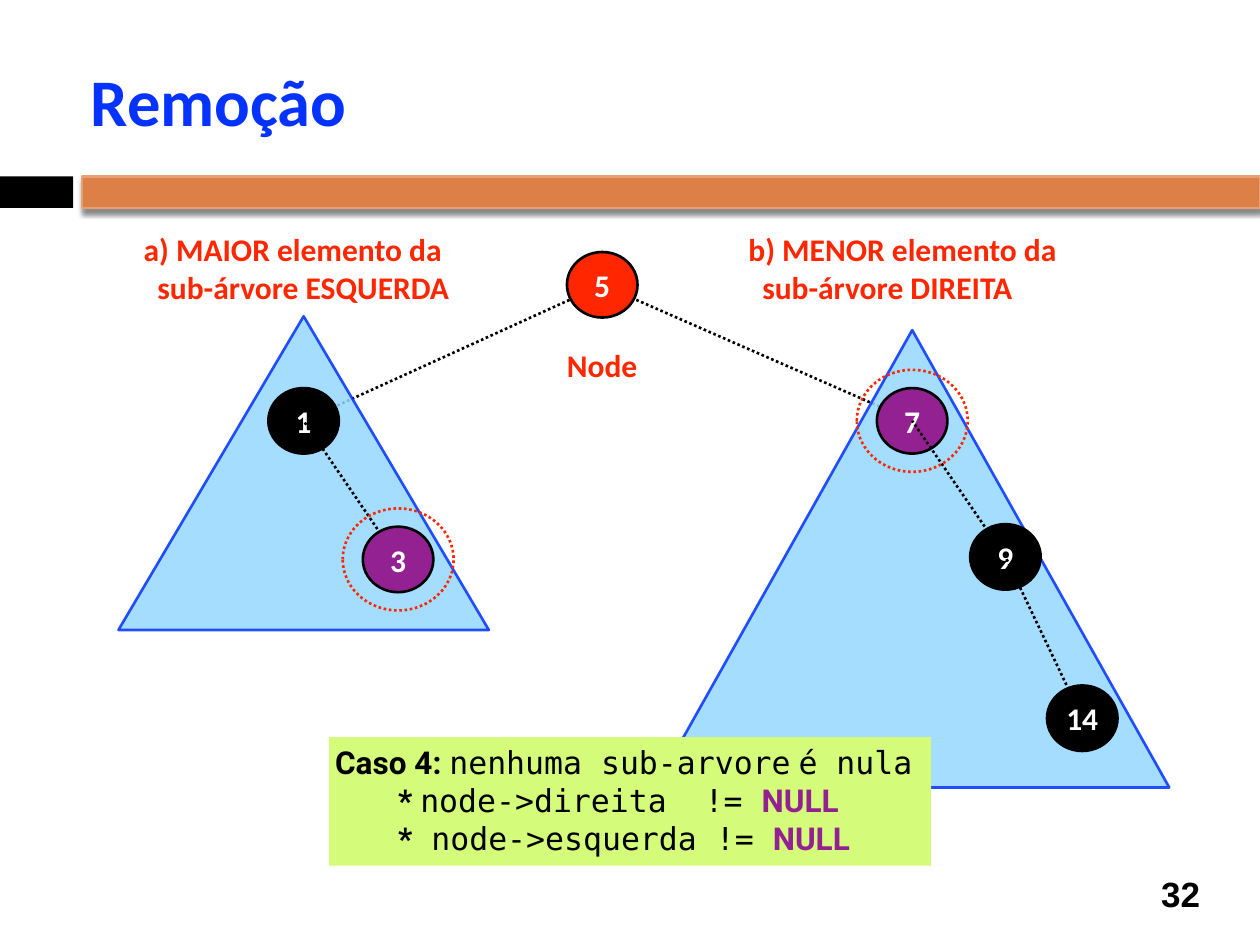
from lxml.etree import SubElement
from pptx import Presentation
from pptx.dml.color import RGBColor
from pptx.enum.dml import MSO_LINE
from pptx.enum.shapes import MSO_CONNECTOR, MSO_SHAPE
from pptx.enum.text import MSO_ANCHOR, MSO_AUTO_SIZE, PP_ALIGN
from pptx.oxml.ns import qn
from pptx.util import Pt

SCALE = 9144
COLORS = {
    "black": "000000",
    "white": "FFFFFF",
    "blue": "0433FF",
    "sky": "95D8FF",
    "red": "FF2600",
    "purple": "942192",
    "lime": "D4FB79",
    "orange": "DD8047",
    "peach": "E5A075",
}
NODE_SIZE = (56, 52)
RING_SIZE = (88, 81)


def px(value):
    return round(value * SCALE)


def color(name):
    return RGBColor.from_string(COLORS[name])


def around(center, size):
    return (center[0] - size[0] / 2, center[1] - size[1] / 2, *size)


def inside(box, offset):
    return box[0] + offset[0], box[1] + offset[1]


def add_form(page, kind, box, fill=None, line=None, dotted=False):
    shape = page.shapes.add_shape(kind, *map(px, box))
    shape.shadow.inherit = False
    if fill:
        shape.fill.solid()
        shape.fill.fore_color.rgb = color(fill)
    else:
        shape.fill.background()
    if line:
        shape.line.color.rgb = color(line)
        shape.line.width = Pt(1.5)
        if dotted:
            shape.line.dash_style = MSO_LINE.ROUND_DOT
    else:
        shape.line.fill.background()
    return shape


def set_frame(shape, wrap=True, anchor=MSO_ANCHOR.TOP):
    frame = shape.text_frame
    frame.margin_left = frame.margin_right = px(5)
    frame.margin_top = frame.margin_bottom = px(5)
    frame.word_wrap = wrap
    frame.vertical_anchor = anchor
    return frame


def style(span, size, font, ink, bold=True):
    span.font.size = Pt(size)
    span.font.name = font
    span.font.bold = bold
    span.font.color.rgb = color(ink)


def write(shape, text, size, font, ink, align=PP_ALIGN.LEFT, wrap=True, anchor=MSO_ANCHOR.MIDDLE):
    frame = set_frame(shape, wrap, anchor)
    frame.text = text
    for para in frame.paragraphs:
        para.alignment = align
        for span in para.runs:
            style(span, size, font, ink)
    return frame


def add_text(page, box, text, size, font, ink, **options):
    shape = page.shapes.add_textbox(*map(px, box))
    return write(shape, text, size, font, ink, **options)


def add_label(page, box, text):
    frame = add_text(page, box, text, 18, "Calibri", "red", wrap=False, anchor=MSO_ANCHOR.TOP)
    frame.auto_size = MSO_AUTO_SIZE.SHAPE_TO_FIT_TEXT
    for para in frame.paragraphs[1:]:
        para._p.get_or_add_pPr().set("marL", str(px(11)))


def add_edge(page, start, end):
    edge = page.shapes.add_connector(MSO_CONNECTOR.STRAIGHT, *map(px, (*start, *end)))
    edge.line.color.rgb = color("black")
    edge.line.width = Pt(1.5)
    edge.line.dash_style = MSO_LINE.ROUND_DOT
    SubElement(edge._element.spPr, qn("a:effectLst"))


def add_node(page, center, value, fill):
    node = add_form(page, MSO_SHAPE.OVAL, around(center, NODE_SIZE), fill, "black")
    write(node, value, 18, "Calibri", "white", align=PP_ALIGN.CENTER)


def add_header(page, box):
    left, top, width, height = box
    add_form(page, MSO_SHAPE.RECTANGLE, (left, top + 115, 58, 25), "black")
    bar = add_form(page, MSO_SHAPE.RECTANGLE, (left + 65, top + 115, width - 65, 25), "orange", "peach")
    effects = bar._element.spPr.find(qn("a:effectLst"))
    shadow = SubElement(effects, qn("a:outerShdw"), blurRad=str(Pt(3)), dist=str(Pt(2.4)),
                        dir="5400000", rotWithShape="0")
    shade = SubElement(shadow, qn("a:srgbClr"), val=COLORS["black"])
    SubElement(shade, qn("a:alpha"), val="45000")
    add_text(page, (left + 67, top, 892, height - 32), "Remoção", 38, "Calibri", "blue")


def add_root(page, box):
    center = inside(box, (237, 26))
    for start, end in (((211, 38), (0, 134)), ((264, 38), (483, 134))):
        add_edge(page, inside(box, start), inside(box, end))
    add_node(page, center, "5", "red")
    add_label(page, (box[0] + 204, box[1] + 70, 67, 36), "Node")


def add_subtree(page, box, nodes, marked):
    triangle = add_form(page, MSO_SHAPE.ISOSCELES_TRIANGLE, box, "sky", "blue")
    for tint in triangle._element.spPr.iter(qn("a:srgbClr")):
        SubElement(tint, qn("a:alpha"), val="85000")
    previous = None
    for value, offset in nodes:
        center = inside(box, offset)
        if previous:
            add_edge(page, center, previous)
        add_node(page, center, value, "purple" if value == marked else "black")
        previous = center
    ring = around(inside(box, dict(nodes)[marked]), RING_SIZE)
    add_form(page, MSO_SHAPE.OVAL, ring, line="red", dotted=True)


def add_case(page, box):
    panel = add_form(page, MSO_SHAPE.RECTANGLE, box, "lime")
    frame = set_frame(panel)
    frame.auto_size = MSO_AUTO_SIZE.SHAPE_TO_FIT_TEXT
    looks = {
        "strong": ("Roboto", "black", True),
        "code": ("DejaVu Sans Mono", "black", False),
        "null": ("Roboto", "purple", True),
    }
    lines = [
        [("Caso 4: ", "strong"), ("nenhuma sub-arvore", "code"), (" ", "strong"), ("é nula", "code")],
        [("* ", "strong"), ("node->direita  != ", "code"), ("NULL", "null")],
        [("*", "strong"), (" node->esquerda != ", "code"), ("NULL", "null")],
    ]
    for index, line in enumerate(lines):
        para = frame.add_paragraph() if index else frame.paragraphs[0]
        para.alignment = PP_ALIGN.LEFT
        if index:
            para.level = 1
            settings = para._p.get_or_add_pPr()
            settings.set("marL", "0")
            settings.set("indent", str(px(50)))
        for text, look in line:
            span = para.add_run()
            span.text = text
            font, ink, bold = looks[look]
            style(span, 18, font, ink, bold)


def main():
    deck = Presentation()
    deck.slide_width, deck.slide_height = px(1000), px(750)
    page = deck.slides.add_slide(deck.slide_layouts[6])
    add_header(page, (0, 25, 1000, 140))
    add_text(page, (908, 689, 58, 41), "32", 20, "Arial", "black", align=PP_ALIGN.CENTER)
    add_root(page, (241, 200, 483, 134))
    add_subtree(page, (520, 262, 408, 363),
                [("7", (204, 72)), ("9", (278, 180)), ("14", (339, 308))], "7")
    add_subtree(page, (94, 251, 294, 249), [("1", (147, 83)), ("3", (222, 193))], "3")
    add_label(page, (109, 178, 260, 63), "a) MAIOR elemento da\nsub-árvore ESQUERDA")
    add_label(page, (589, 178, 263, 63), "b) MENOR elemento da\nsub-árvore DIREITA")
    add_case(page, (261, 585, 478, 102))
    deck.save("out.pptx")


if __name__ == "__main__":
    main()
